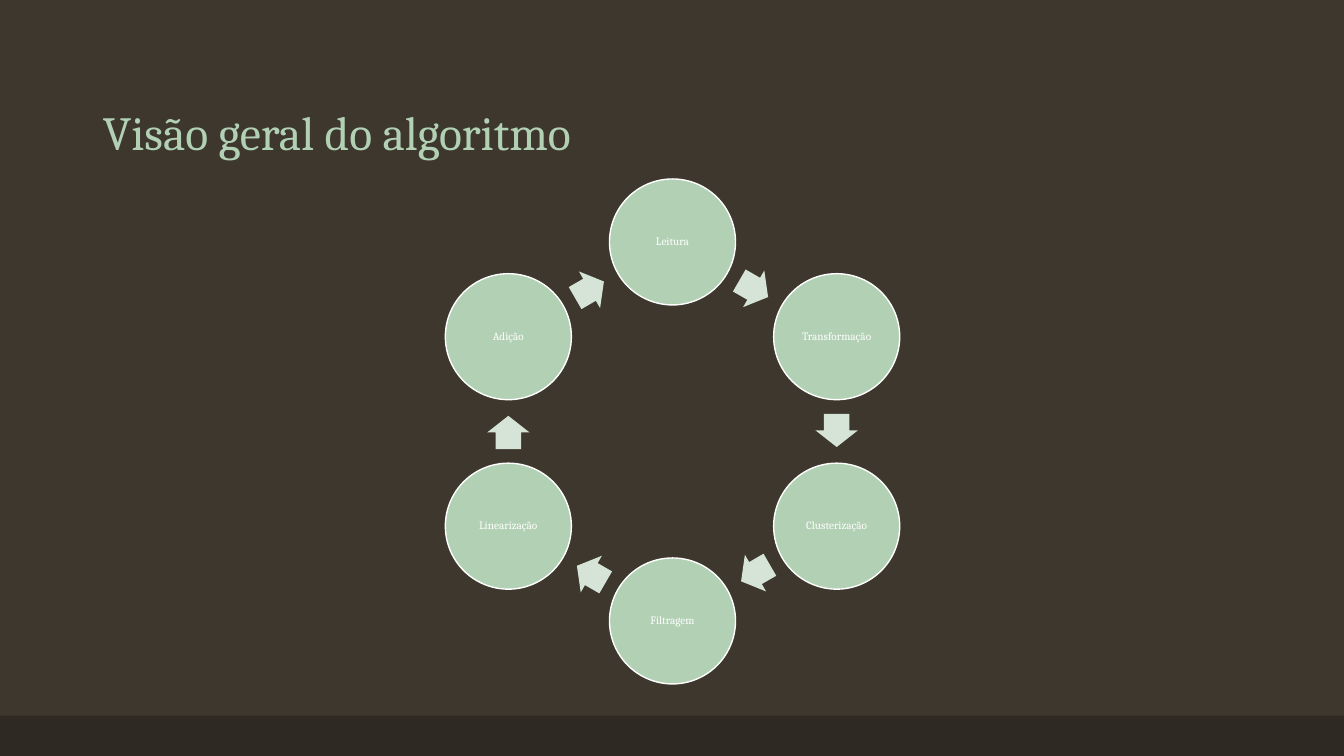
import math

from pptx import Presentation
from pptx.dml.color import RGBColor
from pptx.enum import shapes, text
from pptx.util import Inches, Pt

TITLE = "Visão geral do algoritmo"
STEPS = ["Leitura", "Transformação", "Clusterização",
         "Filtragem", "Linearização", "Adição"]
COLORS = {"background": "3D372E", "footer": "2E2923", "green": "B2D0B4",
          "arrow": "D5E4D6", "white": "FFFFFF"}
FONT = "Cambria"

CENTER_X, CENTER_Y, RADIUS = 6.67, 4.28, 1.88
CIRCLE = 1.25
ARROW_LENGTH, ARROW_HEIGHT = 0.33, 0.42
ARROW_SETBACK = 0.01  # arrows sit just behind the midpoint between circles


def color(name):
    return RGBColor.from_string(COLORS[name])


def add_filled(page, kind, center_x, center_y, width, height, fill):
    """Add a flat preset shape placed by its centre, without outline."""
    shape = page.shapes.add_shape(
        kind, Inches(center_x - width / 2), Inches(center_y - height / 2),
        Inches(width), Inches(height))
    shape.shadow.inherit = False
    shape.fill.solid()
    shape.fill.fore_color.rgb = color(fill)
    shape.line.fill.background()
    return shape


def write(paragraph, words, size, fill):
    paragraph.line_spacing = 0.9
    span = paragraph.add_run()
    span.text = words
    span.font.name = FONT
    span.font.size = Pt(size)
    span.font.color.rgb = color(fill)


def add_title(page):
    title = page.shapes.title
    title.left, title.top = Inches(0.92), Inches(0.4)
    title.width, title.height = Inches(11.5), Inches(1.25)
    title.text_frame.vertical_anchor = text.MSO_ANCHOR.BOTTOM
    paragraph = title.text_frame.paragraphs[0]
    paragraph.alignment = text.PP_ALIGN.LEFT
    write(paragraph, TITLE, 34, "green")


def add_step(page, label, angle):
    circle = add_filled(page, shapes.MSO_SHAPE.OVAL,
                        CENTER_X + RADIUS * math.cos(angle),
                        CENTER_Y + RADIUS * math.sin(angle),
                        CIRCLE, CIRCLE, "green")
    circle.line.color.rgb = color("white")
    circle.line.width = Pt(1)
    frame = circle.text_frame
    frame.word_wrap = True
    frame.vertical_anchor = text.MSO_ANCHOR.MIDDLE
    frame.margin_left = frame.margin_right = Inches(0.01)
    frame.margin_top = frame.margin_bottom = Inches(0.01)
    paragraph = frame.paragraphs[0]
    paragraph.alignment = text.PP_ALIGN.CENTER
    write(paragraph, label, 8, "white")


def add_cycle_arrow(page, angle, half_step):
    """Add an arrow along the ring's chord, pointing clockwise."""
    distance = RADIUS * math.cos(half_step)
    heading = angle + math.pi / 2
    arrow = add_filled(
        page, shapes.MSO_SHAPE.RIGHT_ARROW,
        CENTER_X + distance * math.cos(angle) - ARROW_SETBACK * math.cos(heading),
        CENTER_Y + distance * math.sin(angle) - ARROW_SETBACK * math.sin(heading),
        ARROW_LENGTH, ARROW_HEIGHT, "arrow")
    arrow.adjustments[0] = 0.6
    arrow.adjustments[1] = 0.5
    arrow.rotation = round(math.degrees(heading)) % 360


def main():
    deck = Presentation()
    deck.slide_width, deck.slide_height = Inches(13.33), Inches(7.5)
    page = deck.slides.add_slide(deck.slide_layouts[5])
    page.background.fill.solid()
    page.background.fill.fore_color.rgb = color("background")

    add_filled(page, shapes.MSO_SHAPE.RECTANGLE, 13.33 / 2, 7.3, 13.33, 0.4, "footer")
    add_title(page)

    step_angle = 2 * math.pi / len(STEPS)
    for index, label in enumerate(STEPS):
        angle = index * step_angle - math.pi / 2
        add_step(page, label, angle)
        add_cycle_arrow(page, angle + step_angle / 2, step_angle / 2)

    deck.save("out.pptx")


if __name__ == "__main__":
    main()
